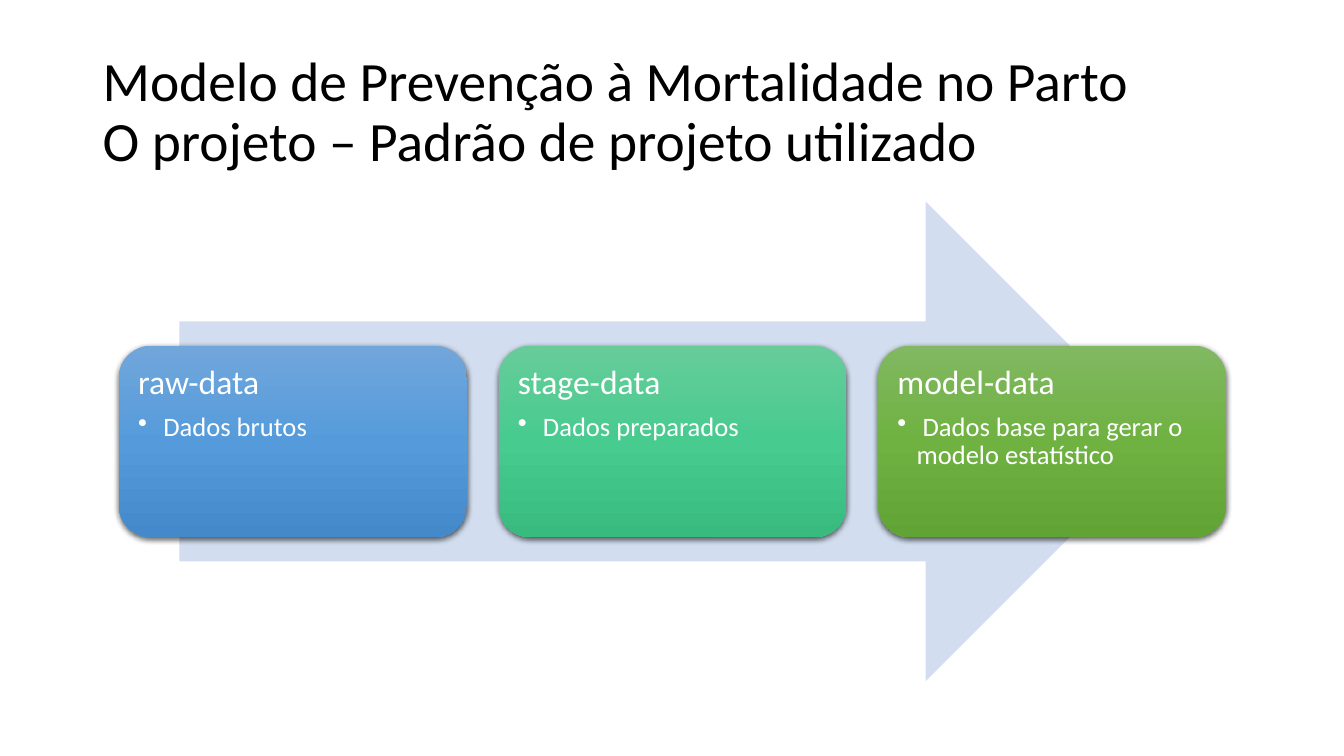
from lxml import etree
from pptx import Presentation
from pptx.dml.color import RGBColor
from pptx.enum.shapes import MSO_SHAPE
from pptx.enum.text import MSO_ANCHOR, PP_ALIGN
from pptx.oxml.ns import qn
from pptx.util import Inches, Pt

RIGHT_ARROW, ROUNDED = MSO_SHAPE.RIGHT_ARROW, MSO_SHAPE.ROUNDED_RECTANGLE
TOP, MIDDLE, LEFT = MSO_ANCHOR.TOP, MSO_ANCHOR.MIDDLE, PP_ALIGN.LEFT
FONT = "Calibri"
COLORS = {
    "title": "000000", "text": "FFFFFF", "arrow": "D2DEEF", "shadow": "000000",
    "blue": ("71A6DB", "559BDB", "448ACA"),
    "teal": ("67CC9A", "47CB8E", "39BB7F"),
    "green": ("81B861", "6FB242", "62A336"),
}
STAGES = [
    ("raw-data", " Dados brutos", "blue"),
    ("stage-data", " Dados preparados", "teal"),
    ("model-data", " Dados base para gerar o modelo estatístico", "green"),
]
TITLE = ("Modelo de Prevenção à Mortalidade no Parto\v"
         "O projeto – Padrão de projeto utilizado")


def add_child(parent, tag, **attributes):
    """Append a DrawingML element and return it."""
    child = etree.SubElement(parent, qn(tag))
    for name, value in attributes.items():
        child.set(name, str(value))
    return child


def style_para(para, size, color, space_after=0):
    """Format one paragraph and its runs."""
    para.alignment = LEFT
    para.line_spacing = 0.9
    para.space_after = Pt(space_after)
    for span in para.runs:
        span.font.name = FONT
        span.font.size = Pt(size)
        span.font.color.rgb = RGBColor.from_string(color)


def add_bullet(para, indent):
    """Give a paragraph a hanging round bullet."""
    properties = para._p.get_or_add_pPr()
    properties.set("marL", str(indent))
    properties.set("indent", str(-indent))
    add_child(properties, "a:buChar", char="•")


def fill_gradient(shape, colors):
    """Fill a shape with evenly spaced colours from top to bottom."""
    shape.fill.gradient()
    shape.fill.gradient_angle = 270
    stops = shape.element.spPr.find(qn("a:gradFill")).find(qn("a:gsLst"))
    for stop in list(stops):
        stops.remove(stop)
    for index, color in enumerate(colors):
        stop = add_child(stops, "a:gs", pos=index * 100000 // (len(colors) - 1))
        add_child(stop, "a:srgbClr", val=color)


def add_shadow(shape):
    """Cast a soft shadow straight below a shape."""
    shape.shadow.inherit = False
    effects = shape.element.spPr.find(qn("a:effectLst"))
    shadow = add_child(effects, "a:outerShdw", blurRad=Pt(4.5), dist=Pt(1.5),
                       dir=90 * 60000, algn="ctr", rotWithShape=0)
    color = add_child(shadow, "a:srgbClr", val=COLORS["shadow"])
    add_child(color, "a:alpha", val=63000)


def add_title(page, left, top, width, height):
    """Write the two-line title."""
    box = page.shapes.add_textbox(left, top, width, height)
    frame = box.text_frame
    frame.word_wrap = True
    frame.vertical_anchor = MIDDLE
    frame.text = TITLE
    style_para(frame.paragraphs[0], 39.6, COLORS["title"])


def add_card(page, left, top, width, height, stage):
    """Draw one stage card with its heading and bullet."""
    heading, detail, color = stage
    card = page.shapes.add_shape(ROUNDED, left, top, width, height)
    fill_gradient(card, COLORS[color])
    card.line.fill.background()
    add_shadow(card)
    frame = card.text_frame
    frame.word_wrap = True
    frame.vertical_anchor = TOP
    frame.margin_left = frame.margin_right = Inches(0.1)
    frame.margin_top = frame.margin_bottom = Inches(0.1)
    frame.text = heading
    style_para(frame.paragraphs[0], 24, COLORS["text"], 8.4)
    para = frame.add_paragraph()
    para.text = detail
    para.level = 1
    style_para(para, 19, COLORS["text"], 2.85)
    add_bullet(para, Inches(0.19))


def add_process(page, left, top, width, height):
    """Draw the arrow and the row of stage cards over it."""
    inset = Inches(0.6)
    arrow = page.shapes.add_shape(RIGHT_ARROW, left + inset, top,
                                  width - 2 * inset, height)
    arrow.shadow.inherit = False
    arrow.fill.solid()
    arrow.fill.fore_color.rgb = RGBColor.from_string(COLORS["arrow"])
    arrow.line.fill.background()
    card_width, card_height = Inches(3.45), Inches(1.9)
    step = (width - card_width) // (len(STAGES) - 1)
    card_top = top + (height - card_height) // 2
    for index, stage in enumerate(STAGES):
        add_card(page, left + index * step, card_top, card_width, card_height, stage)


def main():
    """Build the slide and save the deck."""
    deck = Presentation()
    deck.slide_width, deck.slide_height = Inches(13.33), Inches(7.5)
    page = deck.slides.add_slide(deck.slide_layouts[6])
    add_title(page, Inches(0.92), Inches(0.4), Inches(11.5), Inches(1.45))
    add_process(page, Inches(1.18), Inches(2), Inches(10.98), Inches(4.76))
    deck.save("out.pptx")


main()
